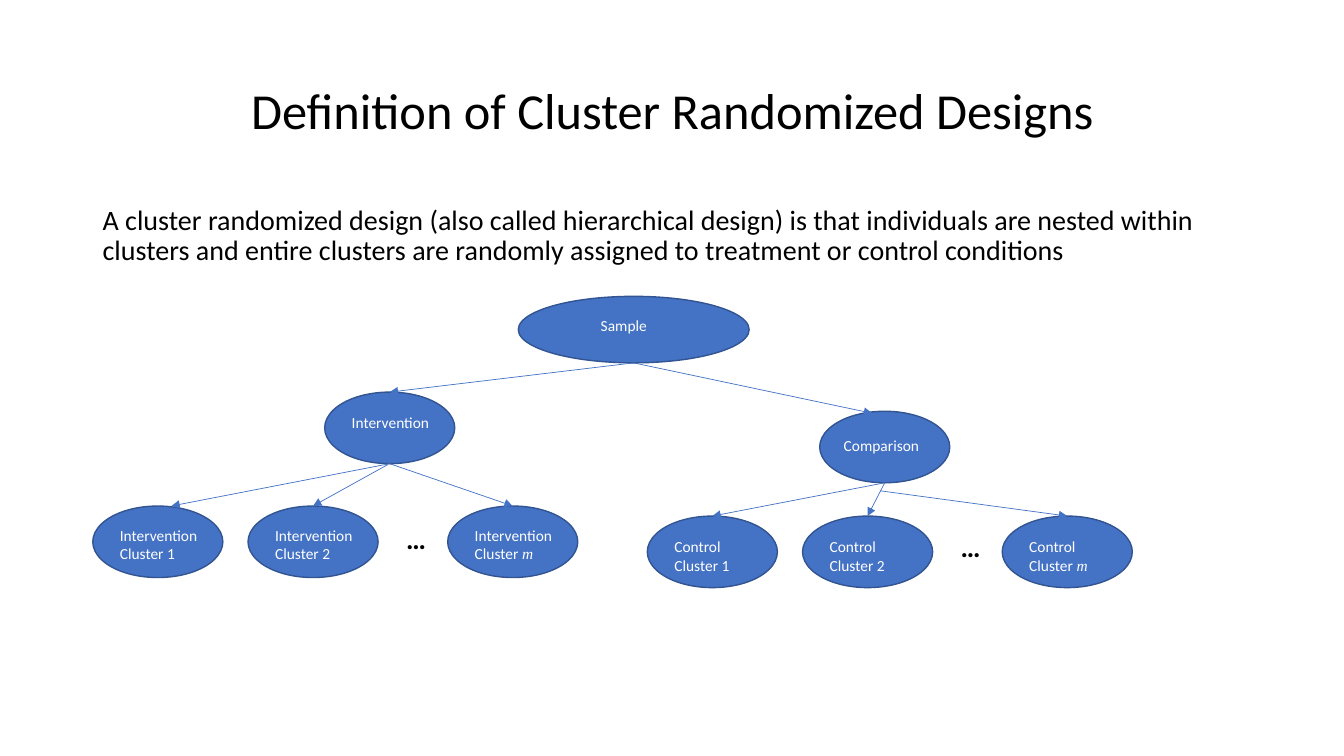
import dataclasses
import typing

import lxml.etree
import pptx
import pptx.dml.color
import pptx.enum.shapes
import pptx.enum.text
import pptx.oxml.ns
import pptx.util

CELL = 0.1
BLUE, DARK_BLUE, BLACK, WHITE = "4472C4", "325491", "000000", "FFFFFF"
NODE_COLUMNS, NODE_ROWS = 12.9, 7.1
LABEL_COLUMNS, LABEL_ROWS = 12, 3.4
CLUSTER_OFFSETS = (0, 15.4, 35.2)
CLUSTER_NAMES = ("1", "2", "m")
DOTS_OFFSET = 30.1

LABEL = {"size": pptx.util.Pt(11), "name": "Calibri", "bold": False, "italic": False}
VARIABLE = LABEL | {"name": "Times New Roman", "italic": True}
TITLE = LABEL | {"size": pptx.util.Pt(36)}
BODY = LABEL | {"size": pptx.util.Pt(20)}
DOTS = BODY | {"bold": True}

Run = tuple[str, dict[str, typing.Any]]


@dataclasses.dataclass(frozen=True)
class Box:
    column: float
    row: float
    columns: float = NODE_COLUMNS
    rows: float = NODE_ROWS

    @property
    def center(self) -> float:
        return self.column + self.columns / 2

    @property
    def bottom(self) -> float:
        return self.row + self.rows

    def lengths(self) -> list[int]:
        return [grid(value) for value in (self.column, self.row, self.columns, self.rows)]


@dataclasses.dataclass(frozen=True)
class ArrowShift:
    start_column: float = 0
    start_row: float = 0
    end_column: float = 0
    end_row: float = 0


@dataclasses.dataclass(frozen=True)
class Arm:
    name: str
    cluster: str
    node: Box
    label: Box
    first: Box
    label_row: float
    dots_row: float
    sample_shift: ArrowShift
    shifts: tuple[ArrowShift, ...]


SAMPLE = Box(51.4, 29.4, 22.9, 6.6)
ARMS = (
    Arm("Intervention", "Intervention", Box(32.2, 38.9),
        Box(33.9, 40.5, LABEL_COLUMNS, LABEL_ROWS), Box(9.2, 50.2), 51.7, 51.2,
        ArrowShift(),
        (ArrowShift(end_column=1.35), ArrowShift(-0.2, 0.1), ArrowShift())),
    Arm("Comparison", "Control", Box(81.3, 40.8),
        Box(82.7, 42.8, LABEL_COLUMNS, LABEL_ROWS), Box(64.2, 51.2), 52.8, 52,
        ArrowShift(end_column=-1.25, end_row=0.2),
        (ArrowShift(), ArrowShift(), ArrowShift(-0.4, 0.8))),
)


def grid(cells: float) -> int:
    return pptx.util.Inches(cells * CELL)


def color(value: str) -> pptx.dml.color.RGBColor:
    return pptx.dml.color.RGBColor.from_string(value)


def draw_text(slide, box: Box, lines: list[list[Run]], ink: str = WHITE,
              frame_format: dict | None = None, paragraph_format: dict | None = None) -> None:
    frame = slide.shapes.add_textbox(*box.lengths()).text_frame
    for key, value in ({"word_wrap": True} | (frame_format or {})).items():
        setattr(frame, key, value)
    for index, line in enumerate(lines):
        paragraph = frame.add_paragraph() if index else frame.paragraphs[0]
        for key, value in (paragraph_format or {}).items():
            setattr(paragraph, key, value)
        for text, font_format in line:
            run = paragraph.add_run()
            run.text = text
            for key, value in font_format.items():
                setattr(run.font, key, value)
            run.font.color.rgb = color(ink)


def draw_ellipse(slide, box: Box) -> None:
    shape = slide.shapes.add_shape(pptx.enum.shapes.MSO_SHAPE.OVAL, *box.lengths())
    shape.shadow.inherit = False
    shape.fill.solid()
    shape.fill.fore_color.rgb = color(BLUE)
    shape.line.color.rgb = color(DARK_BLUE)
    shape.line.width = pptx.util.Pt(1)


def draw_arrow(slide, parent: Box, child: Box, shift: ArrowShift) -> None:
    connector = slide.shapes.add_connector(
        pptx.enum.shapes.MSO_CONNECTOR.STRAIGHT,
        grid(parent.center + shift.start_column), grid(parent.bottom + shift.start_row),
        grid(child.center + shift.end_column), grid(child.row + shift.end_row))
    connector.line.color.rgb = color(BLUE)
    connector.line.width = pptx.util.Pt(0.5)
    properties = connector._element.spPr
    line = properties.find(pptx.oxml.ns.qn("a:ln"))
    lxml.etree.SubElement(line, pptx.oxml.ns.qn("a:tailEnd"), type="triangle")
    lxml.etree.SubElement(properties, pptx.oxml.ns.qn("a:effectLst"))


def draw_arm(slide, arm: Arm) -> None:
    draw_ellipse(slide, arm.node)
    draw_arrow(slide, SAMPLE, arm.node, arm.sample_shift)
    draw_text(slide, arm.label, [[(arm.name, LABEL)]])
    for offset, name, shift in zip(CLUSTER_OFFSETS, CLUSTER_NAMES, arm.shifts):
        cluster = Box(arm.first.column + offset, arm.first.row)
        name_format = VARIABLE if name.isalpha() else LABEL
        draw_ellipse(slide, cluster)
        draw_text(slide, Box(cluster.column + 1.7, arm.label_row, LABEL_COLUMNS, LABEL_ROWS),
                  [[(arm.cluster, LABEL)], [("Cluster ", LABEL), (name, name_format)]])
        draw_arrow(slide, arm.node, cluster, shift)
    draw_text(slide, Box(arm.first.column + DOTS_OFFSET, arm.dots_row, 4.1, 4.4),
              [[("…", DOTS)]], BLACK,
              {"auto_size": pptx.enum.text.MSO_AUTO_SIZE.SHAPE_TO_FIT_TEXT})


def main() -> None:
    presentation = pptx.Presentation()
    presentation.slide_width = pptx.util.Inches(13.33)
    presentation.slide_height = pptx.util.Inches(7.5)
    slide = presentation.slides.add_slide(presentation.slide_layouts[6])
    draw_text(slide, Box(9.2, 4, 115, 14.5),
              [[("Definition of Cluster Randomized Designs", TITLE)]], BLACK,
              {"vertical_anchor": pptx.enum.text.MSO_ANCHOR.MIDDLE},
              {"alignment": pptx.enum.text.PP_ALIGN.CENTER, "line_spacing": 0.9})
    draw_text(slide, Box(9.2, 20, 115, 7.7),
              [[("A cluster randomized design (also called hierarchical design) is that "
                 "individuals are nested within clusters and entire clusters are randomly "
                 "assigned to treatment or control conditions", BODY)]],
              BLACK, paragraph_format={"line_spacing": 0.9})
    draw_ellipse(slide, SAMPLE)
    draw_text(slide, Box(58.6, 30.9, LABEL_COLUMNS, LABEL_ROWS), [[("Sample", LABEL)]])
    for arm in ARMS:
        draw_arm(slide, arm)
    presentation.save("out.pptx")


if __name__ == "__main__":
    main()
